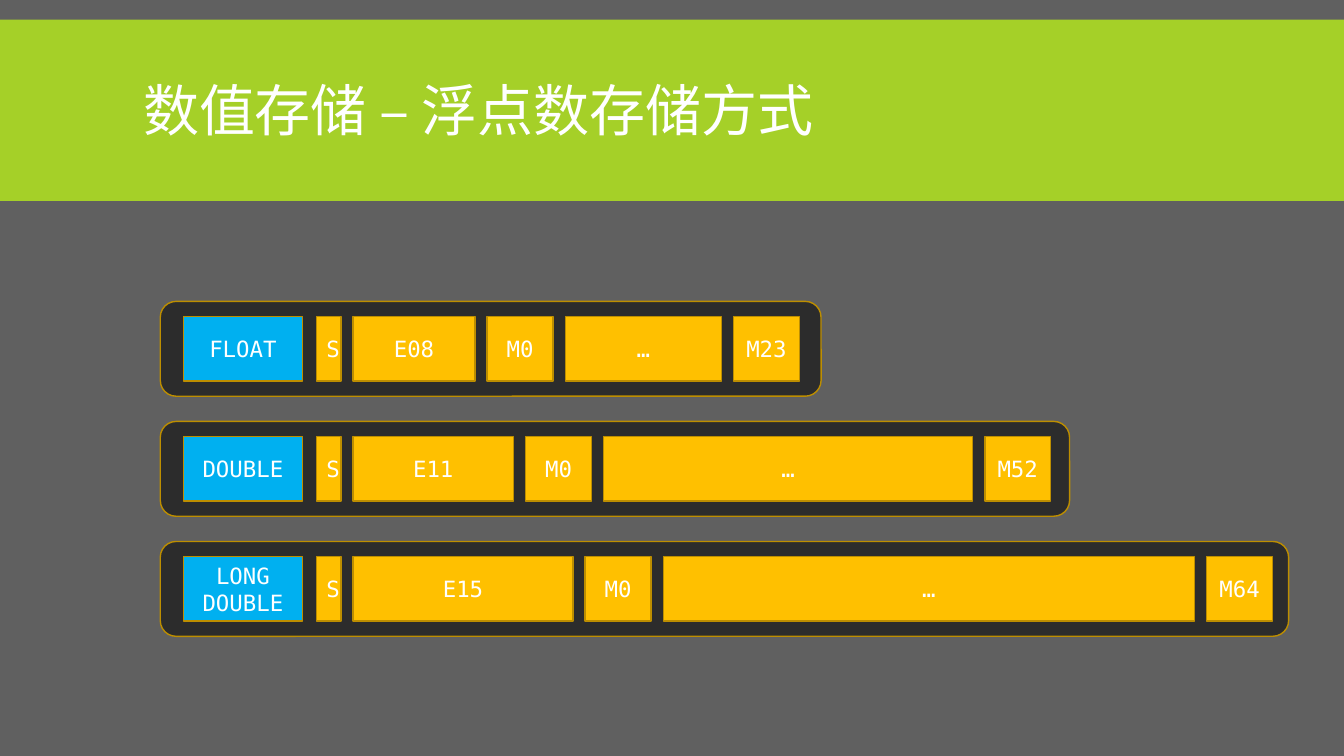
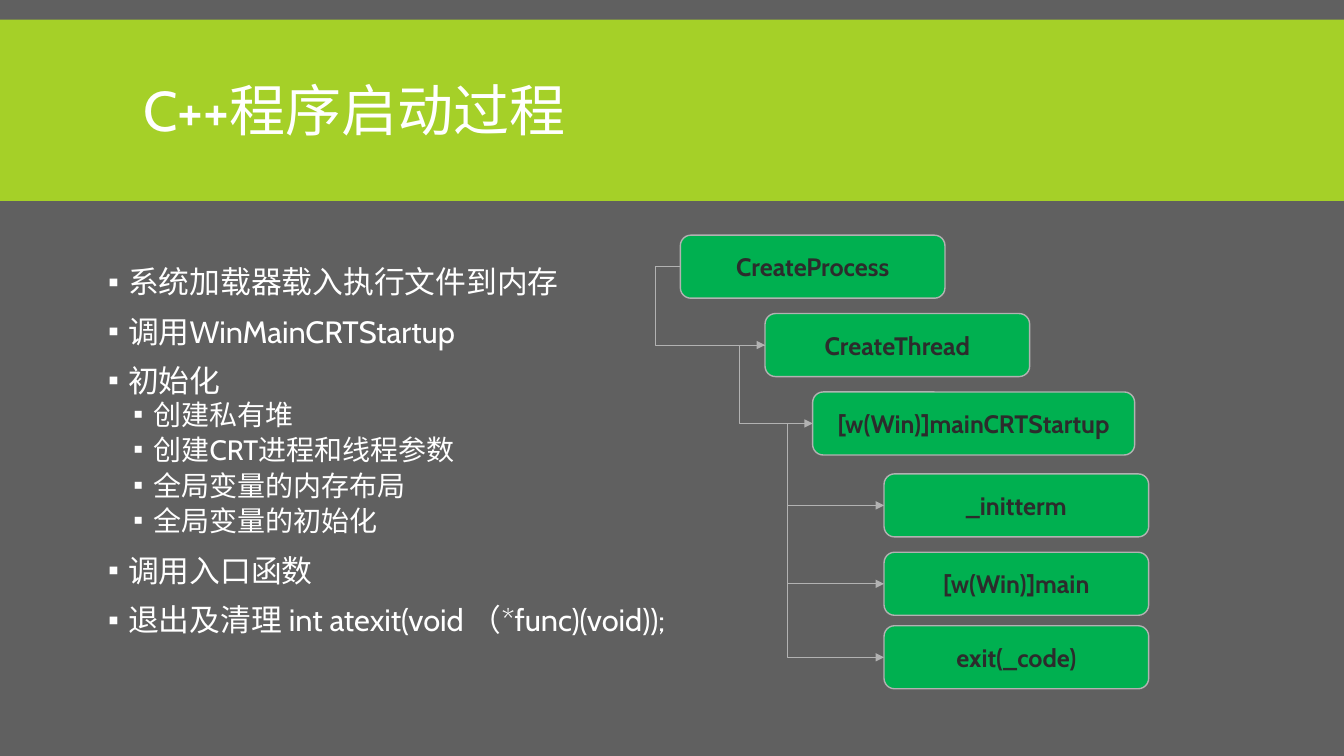
from lxml.etree import SubElement
from pptx import Presentation
from pptx.dml.color import RGBColor
from pptx.enum.shapes import MSO_CONNECTOR as Link, MSO_SHAPE as Preset
from pptx.enum.text import MSO_ANCHOR as Anchor, MSO_AUTO_SIZE as AutoSize, PP_ALIGN as Align
from pptx.oxml.ns import qn
from pptx.util import Pt

WIDTH, HEIGHT = 960, 540
GREY, LIME, DARK, WHITE = "606060", "A5D028", "2C2C2C", "FFFFFF"
BLUE, AMBER, OCHRE = "00B0F0", "FFC000", "BD8E00"
GREEN, SILVER = "00B050", "B2B2B2"
SANS, MONO = "Cabin", "DejaVu Sans Mono"
LEFT_SITE = 1

PANEL_LEFT, PANEL_TOP, PANEL_HEIGHT, PANEL_PITCH = 114.5, 215.3, 67.75, 85.75
CELL_INSET, CELL_HEIGHT = 10.8, 46
LABEL_LEFT, LABEL_WIDTH = 131, 85
BITS_LEFT, BIT_GAP, SIGN_WIDTH, MANTISSA_WIDTH = 226, 8.75, 17.5, 47
STEP_HEIGHT, STUB = 45, 18

FORMATS = [
    ("FLOAT", 472, "E08", 87, 111.5, "M23"),
    ("DOUBLE", 649.5, "E11", 114.5, 263.5, "M52"),
    ("LONG DOUBLE", 806, "E15", 157, 379.5, "M64"),
]
BULLETS = [
    (0, "系统加载器载入执行文件到内存"),
    (0, "调用WinMainCRTStartup"),
    (0, "初始化"),
    (1, "创建私有堆"),
    (1, "创建CRT进程和线程参数"),
    (1, "全局变量的内存布局"),
    (1, "全局变量的初始化"),
    (0, "调用入口函数"),
    (0, "退出及清理 int atexit(void （*func)(void));"),
]
LEVELS = [
    {"size": 22, "margin": 14.4, "before": 12, "after": 2},
    {"size": 20, "margin": 32.4, "before": 2, "after": 4},
]
STEPS = [
    ("CreateProcess", 486, 168, 189, None),
    ("CreateThread", 546.5, 224, 189, 0),
    ("[w(Win)]mainCRTStartup", 580.5, 280, 230, 1),
    ("_initterm", 631.5, 338.5, 189, 2),
    ("[w(Win)]main", 631.5, 394.5, 189, 2),
    ("exit(_code)", 631.5, 447, 189, 2),
]


def colour(value):
    return RGBColor.from_string(value)


def add_span(para, text, size, face, ink, bold=False):
    span = para.add_run()
    span.text = text
    span.font.size = Pt(size)
    span.font.name = face
    span.font.bold = bold
    span.font.color.rgb = colour(ink)


def place(box, left, top, width, height):
    box.left, box.top, box.width, box.height = map(Pt, (left, top, width, height))


def add_box(shapes, preset, bounds, fill, line=None):
    box = shapes.add_shape(preset, *map(Pt, bounds))
    box.shadow.inherit = False
    box.fill.solid()
    box.fill.fore_color.rgb = colour(fill)
    if line:
        box.line.color.rgb = colour(line)
        box.line.width = Pt(1)
    else:
        box.line.fill.background()
    return box


def add_label(box, text, size, face, ink, bold=False):
    frame = box.text_frame
    frame.word_wrap = True
    frame.vertical_anchor = Anchor.MIDDLE
    para = frame.paragraphs[0]
    para.alignment = Align.CENTER
    add_span(para, text, size, face, ink, bold)


def style_master(deck, page):
    master = deck.slide_master
    master.background.fill.solid()
    master.background.fill.fore_color.rgb = colour(GREY)
    band = add_box(page.shapes, Preset.RECTANGLE, (0, 14, WIDTH, 129.5), LIME)
    band._element.nvSpPr.cNvPr.set("id", "20")
    master.shapes._spTree.insert(2, band._element)


def add_page(deck, layout, title):
    page = deck.slides.add_slide(deck.slide_layouts.get_by_name(layout))
    box = page.shapes.title
    place(box, 95, 22.5, 770, 118.5)
    frame = box.text_frame
    frame.auto_size = AutoSize.NONE
    frame.vertical_anchor = Anchor.MIDDLE
    para = frame.paragraphs[0]
    para.alignment = Align.LEFT
    para.line_spacing = 0.85
    add_span(para, title, 40, SANS, WHITE)
    return page


def add_format(page, row, name, panel_width, exponent, exponent_width, rest_width, last):
    shapes = page.shapes.add_group_shape().shapes
    top = PANEL_TOP + row * PANEL_PITCH
    add_box(shapes, Preset.ROUNDED_RECTANGLE,
            (PANEL_LEFT, top, panel_width, PANEL_HEIGHT), DARK, OCHRE)

    def add_cell(text, left, width, fill):
        bounds = (left, top + CELL_INSET, width, CELL_HEIGHT)
        cell = add_box(shapes, Preset.RECTANGLE, bounds, fill, OCHRE)
        add_label(cell, text, 16, MONO, WHITE)

    add_cell(name, LABEL_LEFT, LABEL_WIDTH, BLUE)
    left = BITS_LEFT
    for text, width in [("S", SIGN_WIDTH), (exponent, exponent_width),
                        ("M0", MANTISSA_WIDTH), ("…", rest_width),
                        (last, MANTISSA_WIDTH)]:
        add_cell(text, left, width, AMBER)
        left += width + BIT_GAP


def add_bullet(para, margin):
    properties = para._p.get_or_add_pPr()
    properties.set("marL", str(Pt(margin)))
    properties.set("indent", str(Pt(-14.4)))
    tint = SubElement(properties, qn("a:buClr"))
    SubElement(tint, qn("a:srgbClr")).set("val", WHITE)
    SubElement(properties, qn("a:buChar")).set("char", "▪")


def fill_list(box, items):
    place(box, 70, 189.5, 831, 286.5)
    frame = box.text_frame
    frame.auto_size = AutoSize.NONE
    frame.vertical_anchor = Anchor.TOP
    for index, (level, text) in enumerate(items):
        para = frame.add_paragraph() if index else frame.paragraphs[0]
        style = LEVELS[level]
        add_bullet(para, style["margin"])
        para.level = level
        para.line_spacing = 0.8
        para.space_before = Pt(style["before"] if index else 0)
        para.space_after = Pt(style["after"])
        add_span(para, text, style["size"], SANS, WHITE)


def add_arrow(page, parent, child):
    arrow = page.shapes.add_connector(
        Link.ELBOW, parent.left, parent.top + parent.height // 2,
        child.left, child.top + child.height // 2)
    arrow.begin_connect(parent, LEFT_SITE)
    arrow.end_connect(child, LEFT_SITE)
    arrow.line.color.rgb = colour(SILVER)
    arrow.line.width = Pt(0.75)
    bend = round(-100000 * Pt(STUB) / (child.left - parent.left))
    properties = arrow._element.spPr
    guide = SubElement(properties.find(".//" + qn("a:avLst")), qn("a:gd"))
    guide.set("name", "adj1")
    guide.set("fmla", f"val {bend}")
    SubElement(arrow.get_or_add_ln(), qn("a:tailEnd")).set("type", "triangle")
    SubElement(properties, qn("a:effectLst"))


def add_steps(page):
    boxes = []
    for text, left, top, width, parent in STEPS:
        box = add_box(page.shapes, Preset.ROUNDED_RECTANGLE,
                      (left, top, width, STEP_HEIGHT), GREEN, SILVER)
        add_label(box, text, 18, SANS, DARK, bold=True)
        boxes.append(box)
        if parent is not None:
            add_arrow(page, boxes[parent], box)


def main():
    deck = Presentation()
    deck.slide_width, deck.slide_height = Pt(WIDTH), Pt(HEIGHT)

    storage = add_page(deck, "Title Only", "数值存储 – 浮点数存储方式")
    style_master(deck, storage)
    for row, layout in enumerate(FORMATS):
        add_format(storage, row, *layout)

    startup = add_page(deck, "Title and Content", "C++程序启动过程")
    fill_list(startup.placeholders[1], BULLETS)
    add_steps(startup)

    deck.save("out.pptx")


if __name__ == "__main__":
    main()
